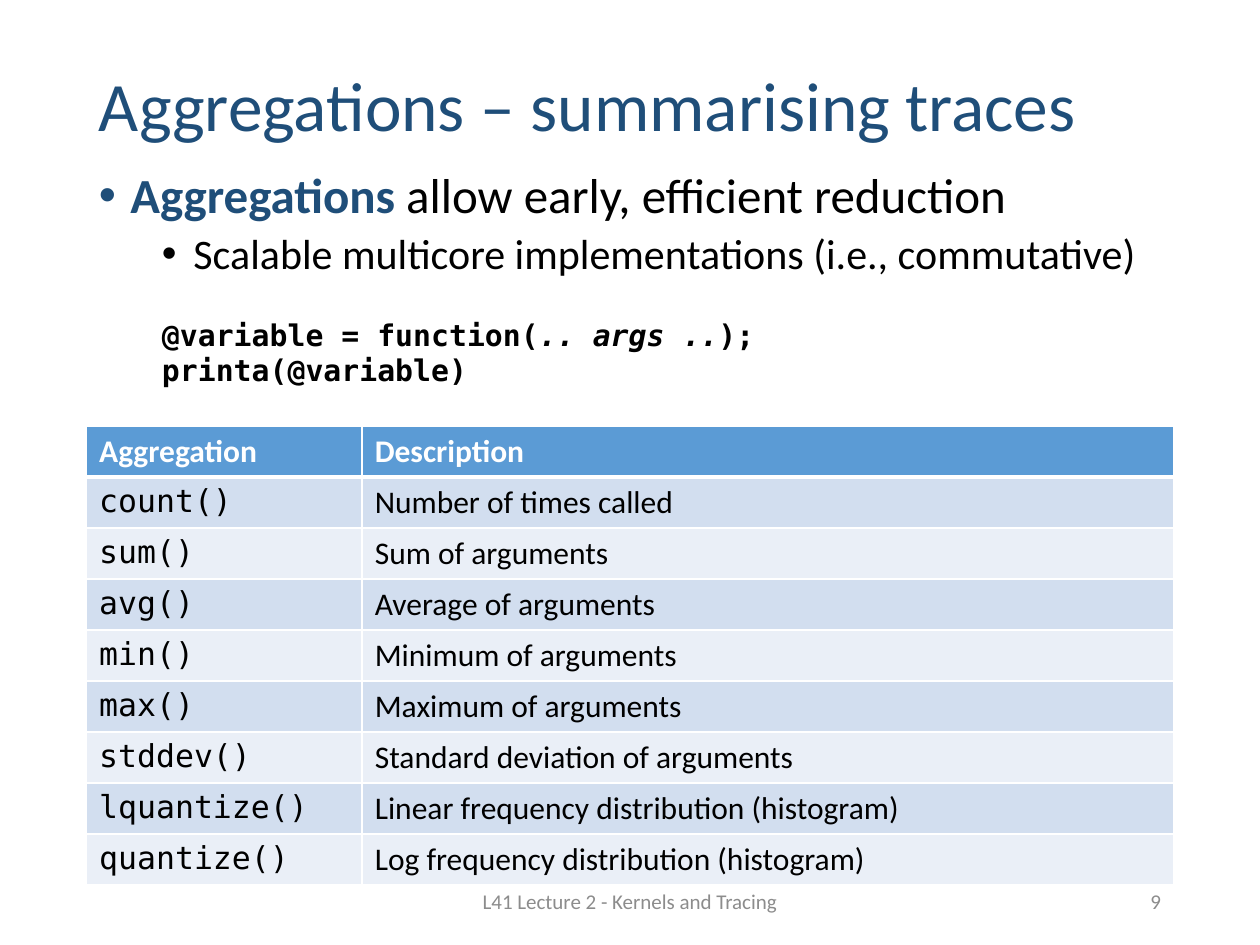
from pptx import Presentation
from pptx.dml.color import RGBColor as Rgb
from pptx.enum.text import MSO_ANCHOR as Anchor, PP_ALIGN as Align
from pptx.oxml.ns import qn
from pptx.util import Pt
from lxml.etree import SubElement as add_element

COLORS = {
    "title": "1F4E79", "text": "000000", "footer": "8C8C8C", "white": "FFFFFF",
    "header": "5B9BD5", "odd": "D2DEEF", "even": "EAEFF7",
}
SANS, MONO = "Calibri", "DejaVu Sans Mono"
LEFT, WIDTH = 49.5, 621

AGGREGATIONS = [
    ("Aggregation", "Description"),
    ("count()", "Number of times called"),
    ("sum()", "Sum of arguments"),
    ("avg()", "Average of arguments"),
    ("min()", "Minimum of arguments"),
    ("max()", "Maximum of arguments"),
    ("stddev()", "Standard deviation of arguments"),
    ("lquantize()", "Linear frequency distribution (histogram)"),
    ("quantize()", "Log frequency distribution (histogram)"),
]


class SlideBuilder:
    def __init__(self, deck):
        self.page = deck.slides.add_slide(deck.slide_layouts[6])

    def style(self, font, color="text", **values):
        for name, value in values.items():
            setattr(font, name, Pt(value) if name == "size" else value)
        font.color.rgb = Rgb.from_string(COLORS[color])

    def box(self, left, top, width, height, anchor=Anchor.MIDDLE):
        frame = self.page.shapes.add_textbox(
            Pt(left), Pt(top), Pt(width), Pt(height)).text_frame
        frame.word_wrap = True
        frame.vertical_anchor = anchor
        return frame

    def para(self, frame, spans, indent=0, hanging=0, bullet=None, **layout):
        para = frame.paragraphs[0]
        if para.runs:
            para = frame.add_paragraph()
        for name, value in layout.items():
            setattr(para, name, value)
        properties = para._p.get_or_add_pPr()
        properties.set("marL", str(Pt(indent)))
        properties.set("indent", str(Pt(-hanging)))
        if bullet:
            add_element(properties, qn("a:buFont"), typeface="Arial")
            add_element(properties, qn("a:buChar"), char=bullet)
        for text, values in spans:
            span = para.add_run()
            span.text = text
            self.style(span.font, **values)

    def border(self, cell, side, width):
        line = add_element(cell._tc.get_or_add_tcPr(), qn(f"a:ln{side}"), w=str(Pt(width)))
        fill = add_element(line, qn("a:solidFill"))
        add_element(fill, qn("a:srgbClr"), val=COLORS["white"])

    def table(self, rows, left, top, column_widths, row_height):
        table = self.page.shapes.add_table(
            len(rows), len(column_widths), Pt(left), Pt(top),
            Pt(sum(column_widths)), Pt(row_height * len(rows))).table
        for column, width in zip(table.columns, column_widths):
            column.width = Pt(width)
        for r, texts in enumerate(rows):
            table.rows[r].height = Pt(row_height)
            is_header = r == 0
            fill = "header" if is_header else "odd" if r % 2 else "even"
            for c, text in enumerate(texts):
                cell = table.cell(r, c)
                # Borders precede the fill in the cell properties
                for side in "LRTB":
                    thick = (side == "B" and r == 0) or (side == "T" and r == 1)
                    self.border(cell, side, 3 if thick else 1)
                cell.fill.solid()
                cell.fill.fore_color.rgb = Rgb.from_string(COLORS[fill])
                values = {
                    "size": 18, "bold": is_header,
                    "name": MONO if c == 0 and not is_header else SANS,
                    "color": "white" if is_header else "text",
                }
                self.para(cell.text_frame, [(text, values)])


def main():
    deck = Presentation()
    deck.slide_width, deck.slide_height = Pt(720), Pt(540)
    slide = SlideBuilder(deck)

    # Title
    title = slide.box(LEFT, 18, WIDTH, 88.5)
    slide.para(title, [("Aggregations – summarising traces",
                        {"name": SANS, "size": 39.6, "color": "title"})],
               line_spacing=0.9)

    # Bullets
    body = slide.box(LEFT, 94.5, WIDTH, 77, Anchor.TOP)
    lead = {"name": SANS, "size": 28}
    slide.para(body, [("Aggregations ", {**lead, "bold": True, "color": "title"}),
                      ("allow early, efficient reduction", lead)],
               indent=18, hanging=18, bullet="•", line_spacing=0.9)
    slide.para(body, [("Scalable multicore implementations (i.e., commutative)",
                       {"name": SANS, "size": 24})],
               indent=54, hanging=18, bullet="•", level=1,
               line_spacing=0.9, space_before=Pt(5))

    # Code
    code = slide.box(LEFT, 165.6, WIDTH, 71.3)
    mono = {"name": MONO, "size": 17, "bold": True}
    slide.para(code, [("@variable = function(", mono),
                      (".. args ..", {**mono, "italic": True}),
                      (");", mono)], indent=36, level=1)
    slide.para(code, [("printa(@variable)", mono)], indent=36, level=1)

    # Aggregation functions
    slide.table(AGGREGATIONS, LEFT, 243.4, (157.5, 463.5), 29.15)

    # Footer and page number
    small = {"name": SANS, "size": 12, "color": "footer"}
    for text, left, width, alignment in (
            ("L41 Lecture 2 - Kernels and Tracing", 238.5, 243, Align.CENTER),
            ("9", 508.5, 162, Align.RIGHT)):
        footer = slide.box(left, 500.5, width, 28.75)
        slide.para(footer, [(text, small)], alignment=alignment)

    deck.save("out.pptx")


if __name__ == "__main__":
    main()
